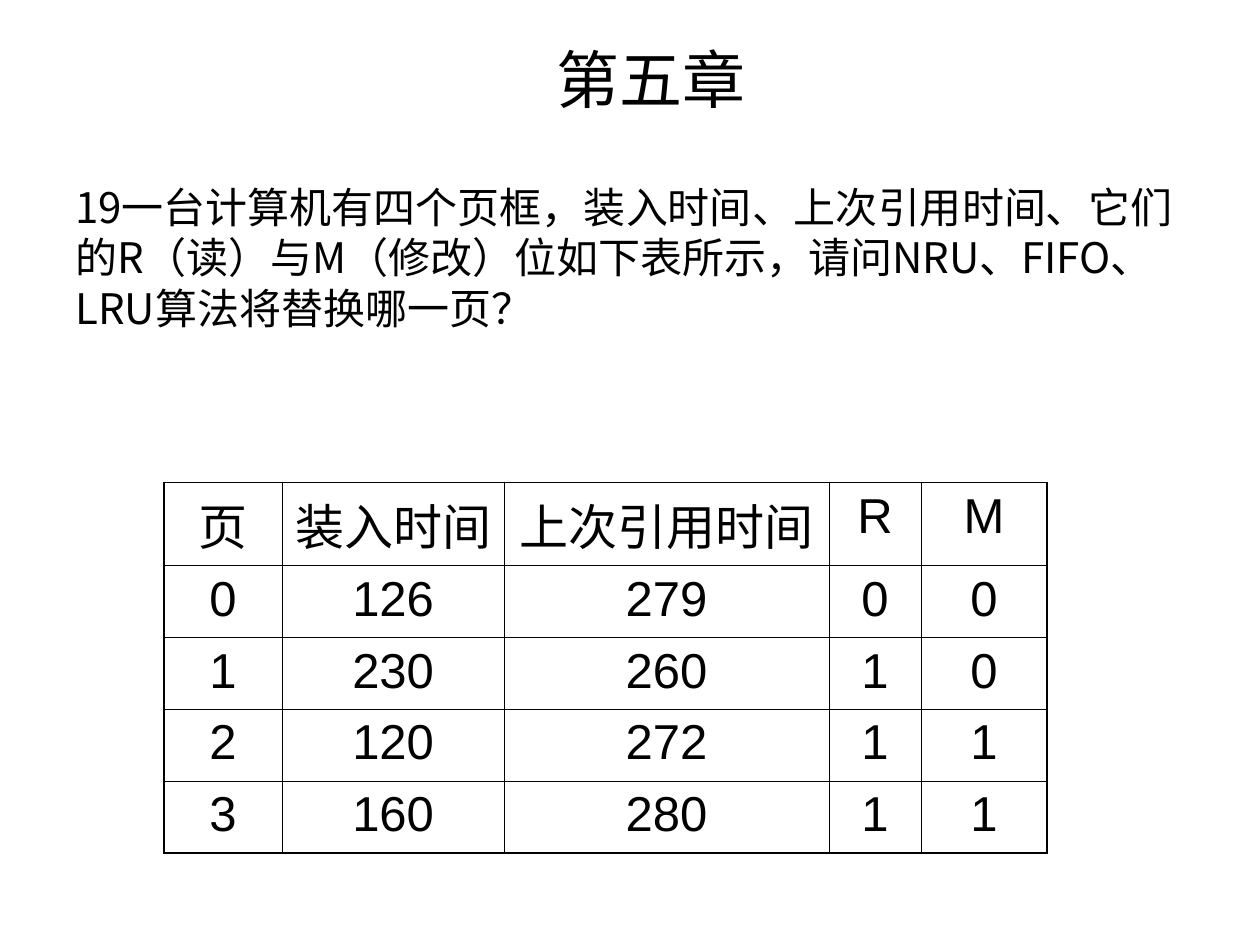
from dataclasses import dataclass

from lxml.etree import SubElement
from pptx import Presentation
from pptx.dml.color import RGBColor
from pptx.enum.text import MSO_ANCHOR as Anchor, PP_ALIGN as Align
from pptx.oxml.ns import qn
from pptx.util import Inches, Pt

COLORS = {"text": "000000", "border": "000000", "background": "FFFFFF"}
OUTER_BORDER, INNER_BORDER = Pt(1.08), Pt(0.45)
COLUMN_WIDTHS = (0.94, 1.76, 2.58, 0.73, 1)
HEADER_HEIGHT, ROW_HEIGHT = 0.66, 0.57
PAGE_ROWS = (
    ("页", "装入时间", "上次引用时间", "R", "M"),
    ("0", "126", "279", "0", "0"),
    ("1", "230", "260", "1", "0"),
    ("2", "120", "272", "1", "1"),
    ("3", "160", "280", "1", "1"),
)


@dataclass(frozen=True)
class TextStyle:
    size: float
    font: str = "Arial"
    align: Align = Align.CENTER
    space_before: float = 0


@dataclass(frozen=True)
class TextBlock:
    text: str
    left: float
    top: float
    width: float
    height: float
    anchor: Anchor
    style: TextStyle


CELL_STYLE = TextStyle(28, space_before=7)
BLOCKS = (
    TextBlock("第五章", 0.67, 0.24, 9, 0.77, Anchor.MIDDLE, TextStyle(36)),
    TextBlock(
        "19一台计算机有四个页框，装入时间、上次引用时间、它们的R（读）与M（修改）位如下表所示，"
        "请问NRU、FIFO、LRU算法将替换哪一页？",
        0.5, 1.39, 9, 5.31, Anchor.TOP,
        TextStyle(24, "Noto Sans CJK SC", Align.LEFT, 6),
    ),
)


def write_text(text_frame, text: str, style: TextStyle) -> None:
    """Write one styled run into the first paragraph."""
    paragraph = text_frame.paragraphs[0]
    paragraph.alignment = style.align
    paragraph.space_before = Pt(style.space_before)
    run = paragraph.add_run()
    run.text = text
    run.font.size = Pt(style.size)
    run.font.name = style.font
    run.font.color.rgb = RGBColor.from_string(COLORS["text"])


def add_text_block(slide, block: TextBlock) -> None:
    """Add a wrapping text box."""
    shape = slide.shapes.add_textbox(
        Inches(block.left), Inches(block.top), Inches(block.width), Inches(block.height)
    )
    shape.text_frame.word_wrap = True
    shape.text_frame.vertical_anchor = block.anchor
    write_text(shape.text_frame, block.text, block.style)


def set_borders(cell, outer_sides: dict[str, bool]) -> None:
    """Draw the four cell borders, heavier on the table's outer edge."""
    properties = cell._tc.get_or_add_tcPr()
    for position, (side, is_outer) in enumerate(outer_sides.items()):
        width = OUTER_BORDER if is_outer else INNER_BORDER
        line = SubElement(properties, qn(f"a:ln{side}"), w=str(int(width)))
        fill = SubElement(line, qn("a:solidFill"))
        SubElement(fill, qn("a:srgbClr"), val=COLORS["border"])
        properties.insert(position, line)


def add_page_table(slide, left: float, top: float) -> None:
    """Add the table of page frames."""
    row_count, column_count = len(PAGE_ROWS), len(COLUMN_WIDTHS)
    table = slide.shapes.add_table(
        row_count, column_count, Inches(left), Inches(top),
        Inches(sum(COLUMN_WIDTHS)), Inches(HEADER_HEIGHT + ROW_HEIGHT * (row_count - 1)),
    ).table
    table.first_row = table.horz_banding = False
    for column, width in zip(table.columns, COLUMN_WIDTHS):
        column.width = Inches(width)
    for row_index, values in enumerate(PAGE_ROWS):
        table.rows[row_index].height = Inches(ROW_HEIGHT if row_index else HEADER_HEIGHT)
        for column_index, value in enumerate(values):
            cell = table.cell(row_index, column_index)
            cell.fill.background()
            write_text(cell.text_frame, value, CELL_STYLE)
            set_borders(cell, {
                "L": column_index == 0,
                "R": column_index == column_count - 1,
                "T": row_index == 0,
                "B": row_index == row_count - 1,
            })


def main() -> None:
    """Build and save the slide."""
    presentation = Presentation()
    presentation.slide_width, presentation.slide_height = Inches(10), Inches(7.5)
    slide = presentation.slides.add_slide(presentation.slide_layouts[6])
    slide.background.fill.solid()
    slide.background.fill.fore_color.rgb = RGBColor.from_string(COLORS["background"])
    for block in BLOCKS:
        add_text_block(slide, block)
    add_page_table(slide, 1.3, 3.83)
    presentation.save("out.pptx")


if __name__ == "__main__":
    main()
